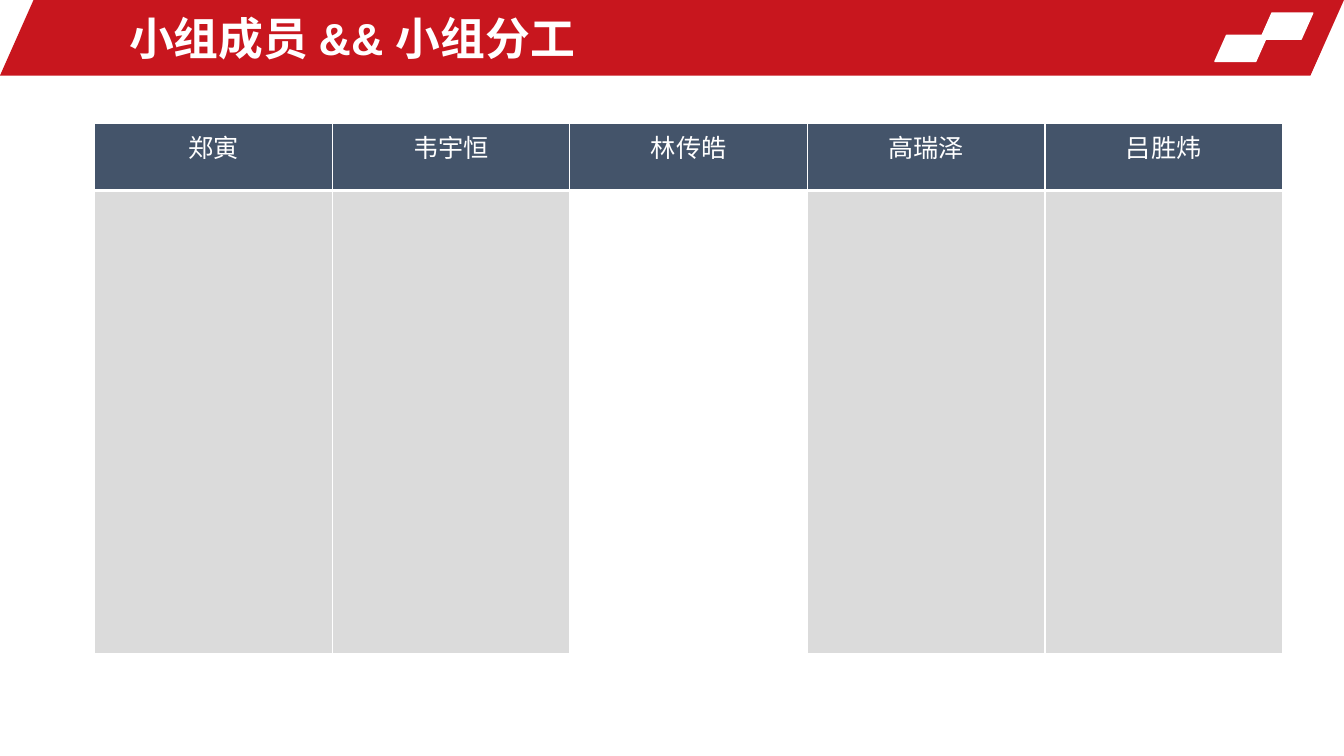
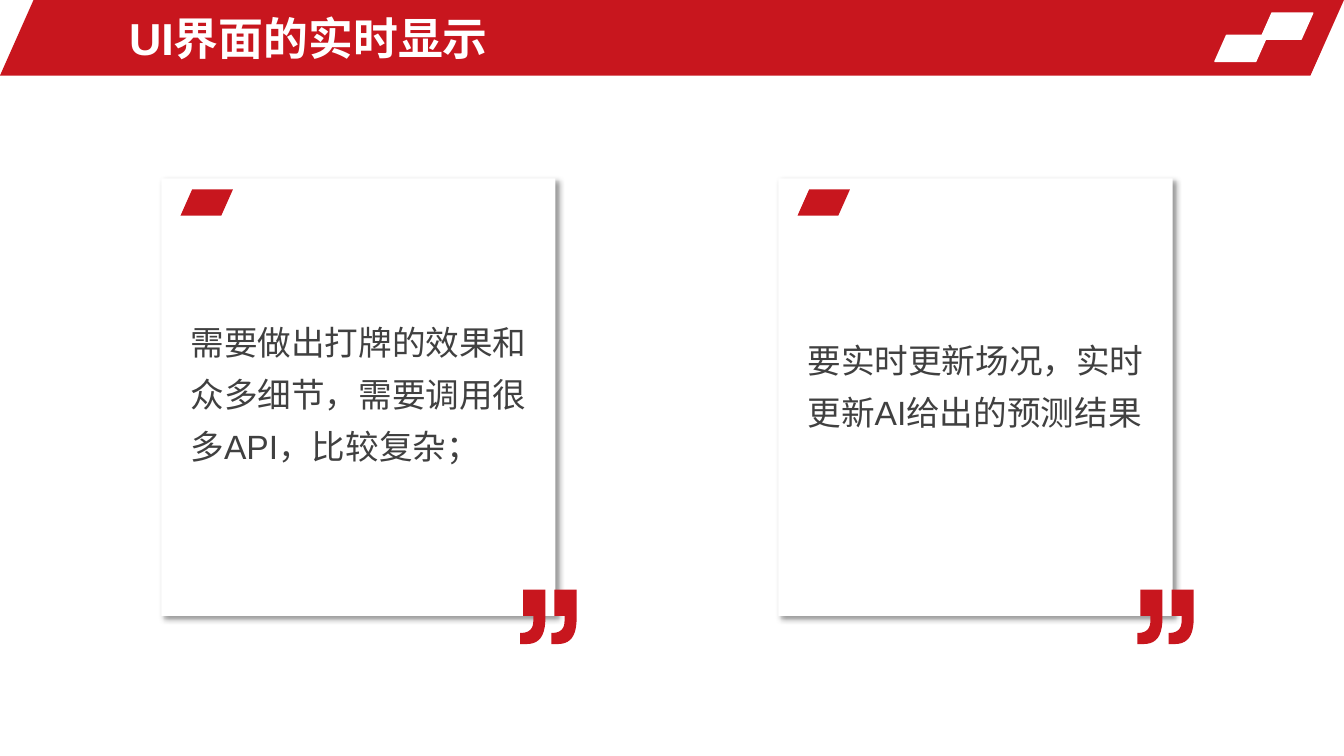
import pptx
import pptx.dml.color
import pptx.enum.shapes
import pptx.enum.text
import pptx.oxml
import pptx.oxml.ns
import pptx.util

Inches = pptx.util.Inches
MSO_SHAPE = pptx.enum.shapes.MSO_SHAPE
PP_ALIGN = pptx.enum.text.PP_ALIGN
MSO_ANCHOR = pptx.enum.text.MSO_ANCHOR


def color(hex_string):
    return pptx.dml.color.RGBColor.from_string(hex_string)


def bezier(start, first_control, second_control, end, steps=10):
    """Return points along a cubic curve, without its start."""
    points = []
    for step in range(1, steps + 1):
        t = step / steps
        weights = ((1 - t) ** 3, 3 * t * (1 - t) ** 2, 3 * t * t * (1 - t), t ** 3)
        corners = (start, first_control, second_control, end)
        points.append(tuple(sum(weight * corner[axis] for weight, corner in zip(weights, corners))
                            for axis in (0, 1)))
    return points


class Deck:
    FONT = "Arial"
    RED = "C8161E"
    WHITE = "FFFFFF"
    SLATE = "44546A"
    GRAY = "DBDBDB"
    TEXT = "404040"
    SLANT = 0.444

    def __init__(self):
        self.presentation = pptx.Presentation()
        self.presentation.slide_width = Inches(13.33)
        self.presentation.slide_height = Inches(7.5)
        self.layout = self.presentation.slide_layouts.get_by_name("Title Only")
        self.slide = None

    def add_slide(self, title):
        first = self.slide is None
        self.slide = self.presentation.slides.add_slide(self.layout)
        if first:
            self.move_header_to_layout()
        placeholder = self.slide.shapes.title
        placeholder.left, placeholder.top = Inches(1.18), Inches(0.05)
        placeholder.width, placeholder.height = Inches(7.74), Inches(0.65)
        text_frame = placeholder.text_frame
        text_frame.auto_size = pptx.enum.text.MSO_AUTO_SIZE.NONE
        text_frame.vertical_anchor = MSO_ANCHOR.MIDDLE
        self.set_text(text_frame, title, 32, self.WHITE, bold=True)

    def move_header_to_layout(self):
        """Draw the header once and place it behind everything on the layout."""
        header = [self.parallelogram(0, 0, 13.33, 0.75, self.RED),
                  self.parallelogram(12.5, 0.13, 0.52, 0.26, self.WHITE, outlined=True),
                  self.parallelogram(12.05, 0.35, 0.52, 0.26, self.WHITE, outlined=True)]
        for index, shape in enumerate(header):
            shape.element.nvSpPr.cNvPr.set("id", str(20 + index))
            self.layout.shapes.element.insert(2 + index, shape.element)

    def set_text(self, text_frame, text, size, text_color, bold=False,
                 alignment=PP_ALIGN.LEFT, line_spacing=1.0):
        text_frame.text = text
        text_frame.word_wrap = True
        paragraph = text_frame.paragraphs[0]
        paragraph.alignment = alignment
        paragraph.line_spacing = line_spacing
        for run in paragraph.runs:
            run.font.name = self.FONT
            run.font.size = pptx.util.Pt(size)
            run.font.bold = bold
            run.font.color.rgb = color(text_color)

    def paint(self, shape, fill, outlined=False):
        shape.shadow.inherit = False
        shape.fill.solid()
        shape.fill.fore_color.rgb = color(fill)
        if outlined:
            shape.line.color.rgb = color(fill)
            shape.line.width = pptx.util.Pt(1)
        else:
            shape.line.fill.background()
        return shape

    def parallelogram(self, left, top, width, height, fill, outlined=False):
        shape = self.slide.shapes.add_shape(
            MSO_SHAPE.PARALLELOGRAM, Inches(left), Inches(top), Inches(width), Inches(height))
        shape.adjustments[0] = self.SLANT
        return self.paint(shape, fill, outlined)

    def panel(self, left, top, width, height):
        """Add a white rectangle with a soft shadow."""
        shape = self.slide.shapes.add_shape(
            MSO_SHAPE.RECTANGLE, Inches(left), Inches(top), Inches(width), Inches(height))
        self.paint(shape, self.WHITE)
        effects = shape.element.spPr.find(pptx.oxml.ns.qn("a:effectLst"))
        effects.append(pptx.oxml.parse_xml(
            f'<a:outerShdw {pptx.oxml.ns.nsdecls("a")} blurRad="{pptx.util.Pt(4)}" '
            f'dist="{pptx.util.Pt(3)}" dir="2700000" algn="tl" rotWithShape="0">'
            '<a:srgbClr val="000000"><a:alpha val="40000"/></a:srgbClr></a:outerShdw>'))

    def text_box(self, left, top, width, height, text):
        box = self.slide.shapes.add_textbox(
            Inches(left), Inches(top), Inches(width), Inches(height))
        self.set_text(box.text_frame, text, 24, self.TEXT, line_spacing=1.3)

    def closing_quote(self, left, top):
        comma = [(0.25, 0), (0.25, 0.28),
                 *bezier((0.25, 0.28), (0.25, 0.46), (0.19, 0.54), (0.06, 0.54)),
                 (0, 0.54), (0, 0.43),
                 *bezier((0, 0.43), (0.09, 0.43), (0.13, 0.39), (0.13, 0.31)),
                 (0.13, 0.26), (0.03, 0.26), (0.03, 0)]
        builder = None
        for offset in (0, 0.31):
            points = [(Inches(left + offset + x), Inches(top + y)) for x, y in comma]
            if builder is None:
                builder = self.slide.shapes.build_freeform(*points[0])
            else:
                builder.move_to(*points[0])
            builder.add_line_segments(points[1:], close=True)
        self.paint(builder.convert_to_shape(), self.RED)

    def quote_card(self, left, text, text_top, text_height):
        top, width, height = 1.77, 3.91, 4.34
        self.panel(left, top, width, height)
        self.parallelogram(left + 0.19, top + 0.11, 0.52, 0.26, self.RED)
        self.text_box(left + 0.19, text_top, 3.82, text_height, text)
        self.closing_quote(left + width - 0.35, top + height - 0.26)

    def cell_borders(self, cell, bottom_width):
        properties = cell._tc.get_or_add_tcPr()
        for side, width in (("L", 1), ("R", 1), ("T", 1), ("B", bottom_width)):
            properties.append(pptx.oxml.parse_xml(
                f'<a:ln{side} {pptx.oxml.ns.nsdecls("a")} w="{pptx.util.Pt(width)}"><a:solidFill>'
                f'<a:srgbClr val="{self.WHITE}"/></a:solidFill></a:ln{side}>'))

    def member_table(self, members, unfilled_column):
        table = self.slide.shapes.add_table(
            2, len(members), Inches(0.94), Inches(1.22), Inches(11.78), Inches(5.26)).table
        table.first_row = table.horz_banding = False
        table.rows[0].height, table.rows[1].height = Inches(0.67), Inches(4.59)
        for column, member in enumerate(members):
            heading, body = table.cell(0, column), table.cell(1, column)
            self.cell_borders(heading, 3)
            self.cell_borders(body, 1)
            heading.fill.solid()
            heading.fill.fore_color.rgb = color(self.SLATE)
            self.set_text(heading.text_frame, member, 18, self.WHITE, alignment=PP_ALIGN.CENTER)
            if column == unfilled_column:
                body.fill.background()
            else:
                body.fill.solid()
                body.fill.fore_color.rgb = color(self.GRAY)


def main():
    deck = Deck()

    deck.add_slide("小组成员 && 小组分工")
    deck.member_table(["郑寅", "韦宇恒", "林传皓", "高瑞泽", "吕胜炜"], unfilled_column=2)

    deck.add_slide("UI界面的实时显示")
    deck.quote_card(1.6, "需要做出打牌的效果和众多细节，需要调用很多API，比较复杂；", 3.02, 1.62)
    deck.quote_card(7.72, "要实时更新场况，实时更新AI给出的预测结果", 3.2, 1.1)

    deck.presentation.save("out.pptx")


if __name__ == "__main__":
    main()
